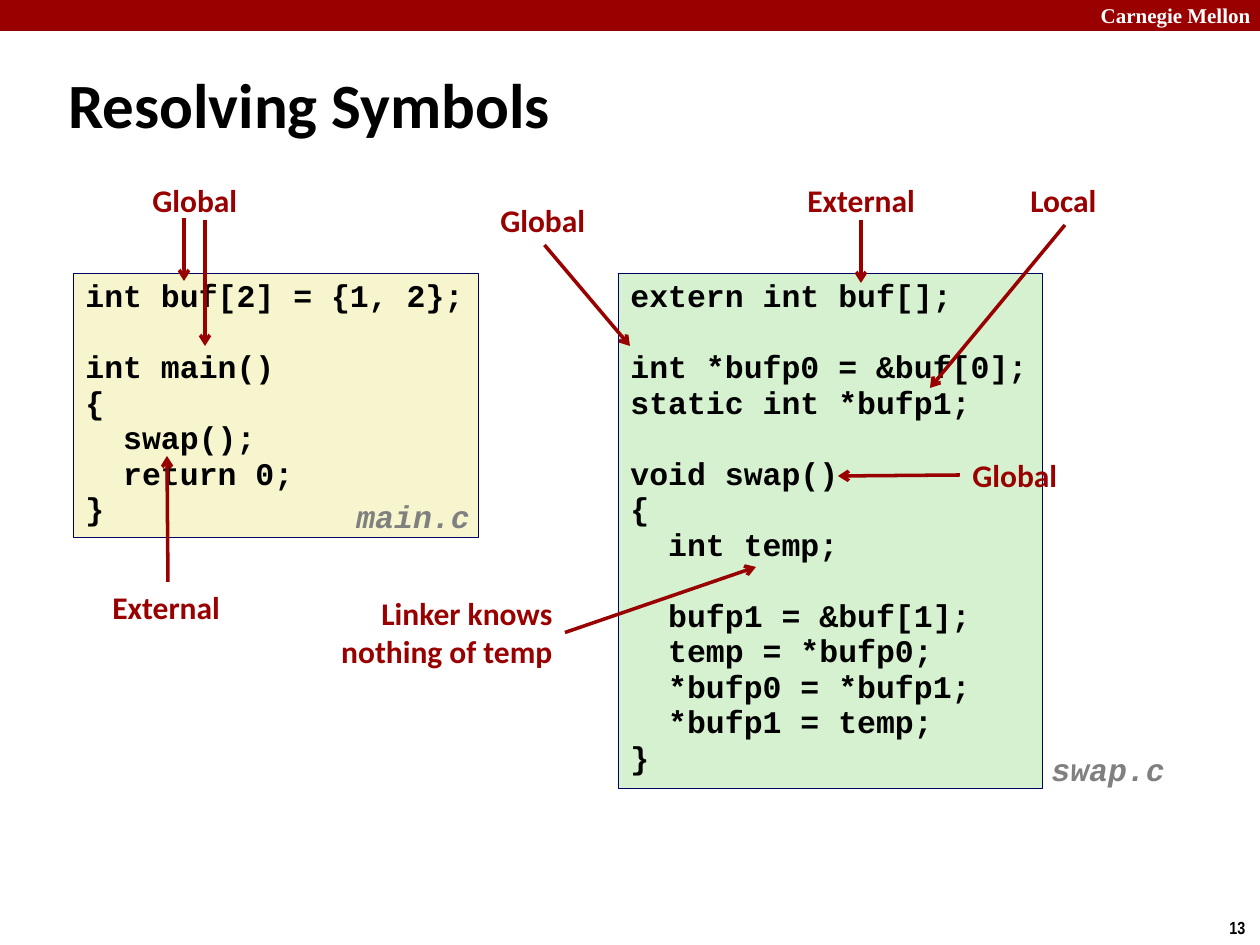
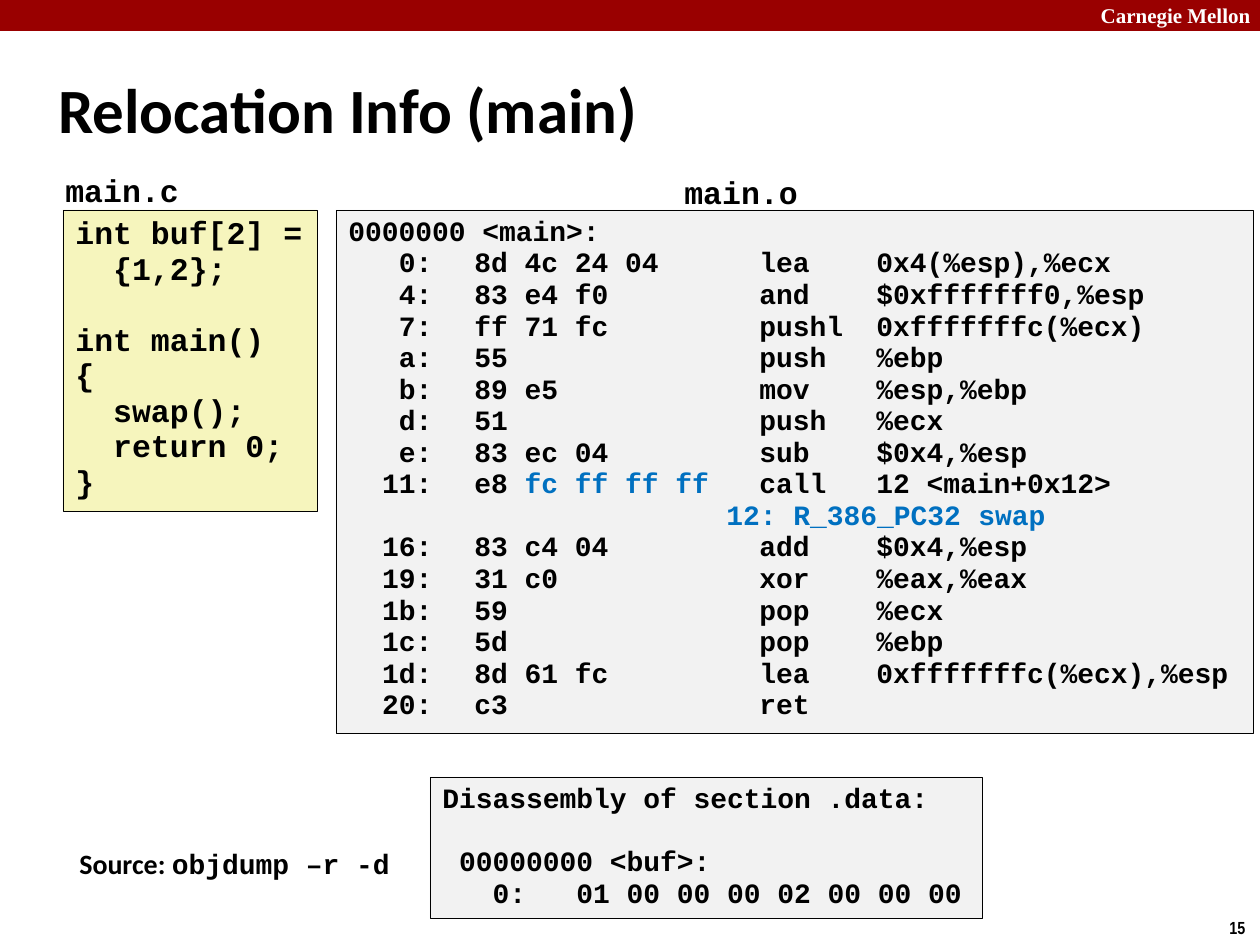
from dataclasses import dataclass, replace

from lxml import etree
from pptx import Presentation
from pptx.dml.color import RGBColor
from pptx.enum.shapes import MSO_CONNECTOR, MSO_SHAPE
from pptx.enum.text import MSO_ANCHOR, PP_ALIGN
from pptx.oxml.ns import qn
from pptx.util import Emu, Pt

RECTANGLE, STRAIGHT = MSO_SHAPE.RECTANGLE, MSO_CONNECTOR.STRAIGHT
TOP_ANCHOR, MIDDLE = MSO_ANCHOR.TOP, MSO_ANCHOR.MIDDLE
LEFT_ALIGN, RIGHT_ALIGN = PP_ALIGN.LEFT, PP_ALIGN.RIGHT
TOP, LEFT, BOTTOM, RIGHT = range(4)  # connection sites

EMU_PER_PX = 914400 // 126
SLIDE_WIDTH, SLIDE_HEIGHT = 1260, 945


@dataclass(frozen=True)
class Style:
    font: str
    size: int
    color: str
    italic: bool = False
    align: PP_ALIGN = LEFT_ALIGN
    spacing: float = 1.0


class Theme:
    red, black, white, blue = "990000", "000000", "FFFFFF", "0070C0"
    navy, grey = "000066", "808080"
    cream, yellow, green, silver = "F7F5CD", "F6F5BD", "D5F1CF", "F2F2F2"
    mono = "Courier New"
    title = Style("Calibri", 36, black)
    school = Style("Times New Roman", 12, white, align=RIGHT_ALIGN)
    number = Style("Arial Narrow", 10, black)
    note = Style("Calibri", 18, red)
    command = Style("Calibri", 16, black, spacing=0.98)
    heading = Style(mono, 18, black)
    code = Style(mono, 18, black, spacing=0.94)
    dump = Style(mono, 16, black, spacing=0.94)
    file_name = Style(mono, 18, grey, italic=True, spacing=0.94)
    outline, arrow = 0.25, 2
    blank_line = 1.13  # height of an empty code line, in type sizes


MAIN_C = """int buf[2] = {1, 2};

int main()
{
  swap();
  return 0;
}"""

SWAP_C = """extern int buf[];

int *bufp0 = &buf[0];
static int *bufp1;

void swap()
{
  int temp;

  bufp1 = &buf[1];
  temp = *bufp0;
  *bufp0 = *bufp1;
  *bufp1 = temp;
}"""

MAIN_C_NARROW = MAIN_C.replace("= {1, 2}", "=\n  {1,2}")

DATA_SECTION = """Disassembly of section .data:

 00000000 <buf>:
   0:\t01 00 00 00 02 00 00 00"""

# address, bytes, mnemonic, operands
INSTRUCTIONS = [
    ("0:", "8d 4c 24 04", "lea", "0x4(%esp),%ecx"),
    ("4:", "83 e4 f0", "and", "$0xfffffff0,%esp"),
    ("7:", "ff 71 fc", "pushl", "0xfffffffc(%ecx)"),
    ("a:", "55", "push", "%ebp"),
    ("b:", "89 e5", "mov", "%esp,%ebp"),
    ("d:", "51", "push", "%ecx"),
    ("e:", "83 ec 04", "sub", "$0x4,%esp"),
    ("11:", "e8 fc ff ff ff", "call", "12 <main+0x12>"),
    ("16:", "83 c4 04", "add", "$0x4,%esp"),
    ("19:", "31 c0", "xor", "%eax,%eax"),
    ("1b:", "59", "pop", "%ecx"),
    ("1c:", "5d", "pop", "%ebp"),
    ("1d:", "8d 61 fc", "lea", "0xfffffffc(%ecx),%esp"),
    ("20:", "c3", "ret"),
]
UNRESOLVED = "fc ff ff ff"
RELOCATION = "\t12: R_386_PC32\tswap"
INSTRUCTION_TABS = [(84, "r"), (126, "l"), (411, "l"), (528, "l")]
RELOCATION_TABS = [(378, "l"), (630, "l")]
DATA_TABS = [(134, "l")]


def px(*lengths):
    return [Emu(length * EMU_PER_PX) for length in lengths]


def set_font(font, style):
    font.name, font.size = style.font, Pt(style.size)
    font.bold, font.italic = True, style.italic
    font.color.rgb = RGBColor.from_string(style.color)


def set_tabs(paragraph, stops):
    tab_list = etree.SubElement(paragraph._p.get_or_add_pPr(), qn("a:tabLst"))
    for place, align in stops:
        etree.SubElement(tab_list, qn("a:tab"), pos=str(place * EMU_PER_PX), algn=align)


def write_paragraph(paragraph, spans, style, tabs=()):
    """Write spans: plain strings, or (string, style) where the style differs."""
    paragraph.alignment = style.align
    paragraph.line_spacing = style.spacing
    if tabs:
        set_tabs(paragraph, tabs)
    set_font(paragraph.font, style)
    for item in spans:
        text, own_style = (item, None) if isinstance(item, str) else item
        span = paragraph.add_run()
        span.text = text
        if own_style:
            set_font(span.font, own_style)


def next_paragraph(frame):
    first = frame.paragraphs[0]
    return frame.add_paragraph() if first.runs else first


def write_code(frame, source, style, tabs=()):
    """Write one paragraph a line; an empty line becomes space before the next."""
    gap = 0
    for line in source.split("\n"):
        if not line:
            gap += Theme.blank_line * style.size
            continue
        paragraph = next_paragraph(frame)
        write_paragraph(paragraph, [line], style, tabs)
        if gap:
            paragraph.space_before = Pt(gap)
        gap = 0


def add_text(page, place, lines, style, anchor=TOP_ANCHOR, wrap=False):
    box = page.shapes.add_textbox(*px(*place))
    frame = box.text_frame
    frame.word_wrap = wrap
    frame.vertical_anchor = anchor
    for spans in lines:
        write_paragraph(next_paragraph(frame), spans, style)
    return box


def add_panel(page, place, fill, line=None):
    """Draw a flat rectangle and return its text frame."""
    panel = page.shapes.add_shape(RECTANGLE, *px(*place))
    panel.shadow.inherit = False
    panel.fill.solid()
    panel.fill.fore_color.rgb = RGBColor.from_string(fill)
    if line:
        panel.line.color.rgb = RGBColor.from_string(line)
        panel.line.width = Pt(Theme.outline)
    else:
        panel.line.fill.background()
    panel.text_frame.word_wrap = True
    panel.text_frame.vertical_anchor = TOP_ANCHOR
    return panel.text_frame


def add_arrow(page, start, end, label=None, side=None):
    """Draw an arrow; with a label, its start is joined to that side."""
    arrow = page.shapes.add_connector(STRAIGHT, *px(*start, *end))
    if label is not None:
        arrow.begin_connect(label, side)
    arrow.line.color.rgb = RGBColor.from_string(Theme.red)
    arrow.line.width = Pt(Theme.arrow)
    etree.SubElement(arrow.line._get_or_add_ln(), qn("a:tailEnd"), type="arrow")
    etree.SubElement(arrow._element.spPr, qn("a:effectLst"))


def add_page(deck, number, title, title_place, title_style):
    page = deck.slides.add_slide(deck.slide_layouts[6])
    add_panel(page, (0, 0, SLIDE_WIDTH, 31), Theme.red)
    add_text(page, (1069, -4, 194, 38), [["Carnegie Mellon"]], Theme.school)
    add_text(page, (1217, 911, 43, 34), [[number]], Theme.number)
    add_text(page, title_place, [[title]], title_style, MIDDLE, wrap=True)
    return page


def build_symbols(deck):
    page = add_page(deck, "13", "Resolving Symbols", (56, 49, 1201, 108), Theme.title)

    # Source files
    write_code(add_panel(page, (73, 273, 405, 264), Theme.cream, Theme.navy),
               MAIN_C, Theme.code)
    write_code(add_panel(page, (618, 273, 424, 515), Theme.green, Theme.navy),
               SWAP_C, Theme.code)
    for name, left, top in (("main.c", 344, 494), ("swap.c", 1039, 747)):
        add_text(page, (left, top, 139, 49), [[name]], Theme.file_name)

    # Labels with arrows that start away from the middle of a side
    add_text(page, (140, 175, 111, 50), [["Global"]], Theme.note)
    add_arrow(page, (184, 218), (184, 281))
    add_arrow(page, (205, 220), (205, 346))
    add_text(page, (795, 175, 136, 50), [["External"]], Theme.note)
    add_arrow(page, (861, 220), (861, 283))

    # Labels joined to their arrows
    right_note = replace(Theme.note, align=RIGHT_ALIGN)
    joined = [
        ((100, 582, 136, 50), [["External"]], Theme.note, TOP, (167, 456)),
        ((1018, 175, 94, 50), [["Local"]], Theme.note, BOTTOM, (930, 388)),
        ((960, 450, 111, 50), [["Global"]], Theme.note, LEFT, (838, 476)),
        ((326, 588, 239, 89), [["Linker knows"], ["nothing of temp"]],
         right_note, RIGHT, (756, 567)),
        ((488, 195, 113, 50), [["Global"]], Theme.note, BOTTOM, (630, 346)),
    ]
    for place, lines, style, side, target in joined:
        label = add_text(page, place, lines, style)
        add_arrow(page, place[:2], target, label, side)


def write_disassembly(frame):
    blue = replace(Theme.dump, color=Theme.blue)
    write_paragraph(next_paragraph(frame), ["0000000 <main>:"], Theme.dump)
    for instruction in INSTRUCTIONS:
        row = "\t" + "\t".join(instruction)
        before, found, after = row.partition(UNRESOLVED)
        spans = [before, (found, blue), after] if found else [row]
        write_paragraph(next_paragraph(frame), spans, Theme.dump, INSTRUCTION_TABS)
        if found:
            write_paragraph(next_paragraph(frame), [RELOCATION], blue, RELOCATION_TABS)


def build_relocation(deck):
    page = add_page(deck, "15", "Relocation Info (main)", (46, 61, 1201, 108),
                    replace(Theme.title, spacing=0.82))

    # Source and disassembly
    write_code(add_panel(page, (63, 210, 254, 301), Theme.yellow, Theme.black),
               MAIN_C_NARROW, Theme.code)
    write_disassembly(add_panel(page, (336, 210, 917, 523), Theme.silver, Theme.black))
    for name, left, top in (("main.c", 53, 165), ("main.o", 672, 167)):
        add_text(page, (left, top, 139, 50), [[name]], Theme.heading)

    # Data section and the command that lists it
    write_code(add_panel(page, (430, 777, 552, 141), Theme.silver, Theme.black),
               DATA_SECTION, Theme.dump, DATA_TABS)
    command = replace(Theme.command, font=Theme.mono)
    add_text(page, (67, 842, 340, 47), [["Source: ", ("objdump –r -d", command)]],
             Theme.command)


def main():
    deck = Presentation()
    deck.slide_width, deck.slide_height = px(SLIDE_WIDTH, SLIDE_HEIGHT)
    build_symbols(deck)
    build_relocation(deck)
    deck.save("out.pptx")


if __name__ == "__main__":
    main()
